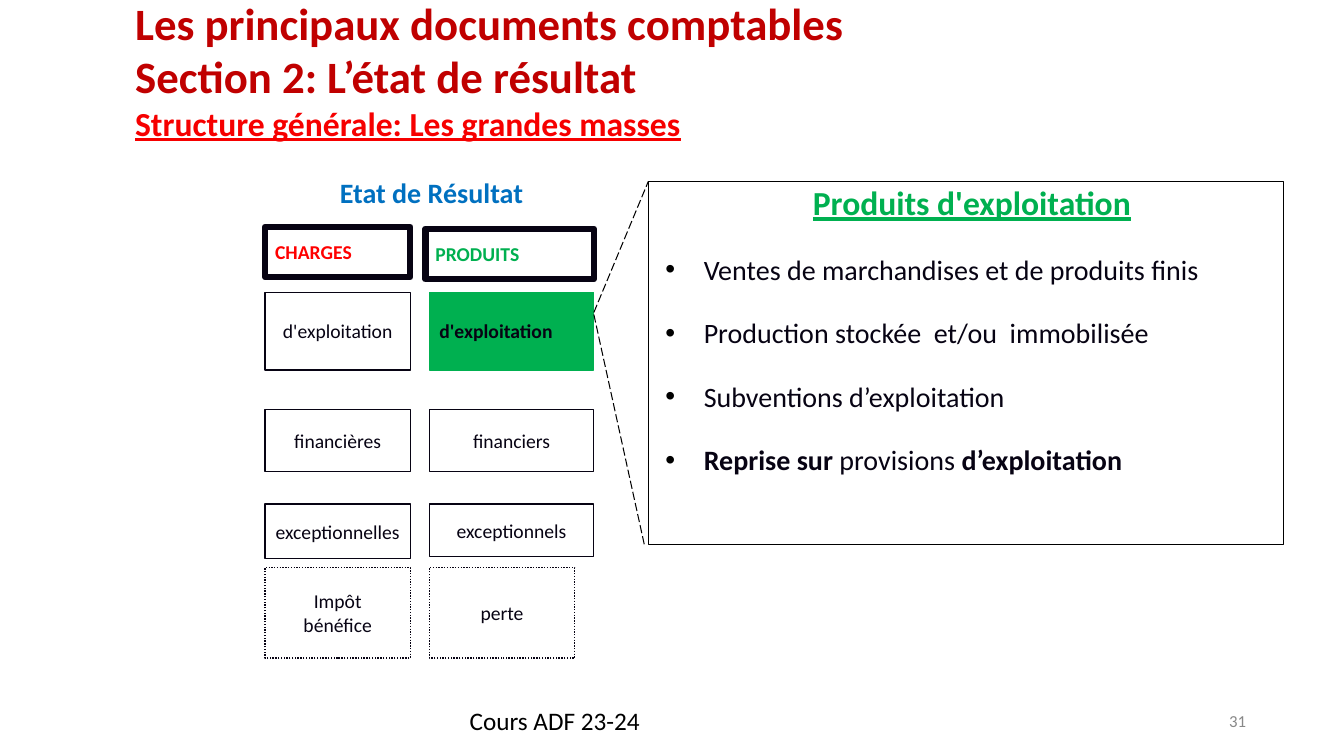
from lxml.etree import SubElement
from pptx import Presentation
from pptx.dml.color import RGBColor
from pptx.enum.dml import MSO_LINE
from pptx.enum.shapes import MSO_CONNECTOR, MSO_SHAPE
from pptx.enum.text import MSO_ANCHOR, MSO_AUTO_SIZE, PP_ALIGN
from pptx.oxml.ns import qn
from pptx.util import Emu, Pt

EMU_PER_PX = 9144  # 100 px to the inch
INK, BLACK, GREEN, RED = "070313", "000000", "00B050", "FF0000"
DARK_RED, TITLE_RED, BLUE, GREY = "C00000", "F60000", "0070C0", "888888"


def px(length):
    return Emu(length * EMU_PER_PX)


def colour(hex_string):
    return RGBColor.from_string(hex_string)


class SlideBuilder:
    font_name = "Calibri"

    def __init__(self, slide):
        self.slide = slide

    def place(self, shape, left, top, width, height):
        shape.left, shape.top = px(left), px(top)
        shape.width, shape.height = px(width), px(height)

    def frame(self, shape, anchor, wrap=True, insets=(10, 5, 10, 5)):
        """Set up the text frame; insets run left, top, right, bottom."""
        frame = shape.text_frame
        frame.auto_size = MSO_AUTO_SIZE.NONE
        frame.word_wrap = wrap
        frame.vertical_anchor = anchor
        (frame.margin_left, frame.margin_top,
         frame.margin_right, frame.margin_bottom) = map(px, insets)
        return frame

    def paragraph(self, frame, first, align=PP_ALIGN.LEFT, spacing=None):
        paragraph = frame.paragraphs[0] if first else frame.add_paragraph()
        paragraph.alignment = align
        if spacing:
            paragraph.line_spacing = spacing
        return paragraph

    def run(self, paragraph, text, size, hex_string, bold=False, underline=False):
        run = paragraph.add_run()
        run.text = text
        font = run.font
        font.name, font.size = self.font_name, Pt(size)
        font.bold, font.underline = bold, underline
        font.color.rgb = colour(hex_string)

    def outline(self, line, hex_string, width, dash=None):
        line.color.rgb = colour(hex_string)
        line.width = Pt(width)
        if dash:
            line.dash_style = dash

    def indent(self, paragraph, bullet=None):
        """Give a hanging indent, with a bullet or explicitly none."""
        properties = paragraph._p.get_or_add_pPr()
        properties.set("marL", str(px(50)))
        properties.set("indent", str(px(-38)))
        if not bullet:
            SubElement(properties, qn("a:buNone"))
            return
        bullet_colour = SubElement(properties, qn("a:buClr"))
        SubElement(bullet_colour, qn("a:srgbClr"), val=BLACK)
        SubElement(properties, qn("a:buFont"), typeface="Arial")
        SubElement(properties, qn("a:buChar"), char=bullet)

    def title(self, lines, bounds):
        shape = self.slide.shapes.title
        self.place(shape, *bounds)
        frame = self.frame(shape, MSO_ANCHOR.BOTTOM, insets=(10, 5, 10, 22))
        for index, line in enumerate(lines):
            self.run(self.paragraph(frame, index == 0), *line)

    def detail_list(self, heading, items, bounds):
        """Fill the body placeholder; each item is a list of (text, bold)."""
        shape = self.slide.placeholders[1]
        self.place(shape, *bounds)
        self.outline(shape.line, BLACK, 0.75)
        frame = self.frame(shape, MSO_ANCHOR.TOP, insets=(5, 5, 5, 5))
        paragraph = self.paragraph(frame, True, PP_ALIGN.CENTER, 0.9)
        self.indent(paragraph)
        paragraph.space_before = Pt(0)
        self.run(paragraph, heading, 24, GREEN, True, True)
        for item in items:
            paragraph = self.paragraph(frame, False, PP_ALIGN.JUSTIFY, 1.5)
            self.indent(paragraph, "•")
            paragraph.space_before = Pt(9.3)
            for text, bold in item:
                self.run(paragraph, text, 20, INK, bold)

    def box(self, lines, bounds, align=PP_ALIGN.CENTER, text_colour=INK, bold=False,
            fill=None, line_colour=INK, line_width=1, dash=None):
        shape = self.slide.shapes.add_shape(MSO_SHAPE.RECTANGLE, *map(px, bounds))
        shape.shadow.inherit = False
        if fill:
            shape.fill.solid()
            shape.fill.fore_color.rgb = colour(fill)
        else:
            shape.fill.background()
        self.outline(shape.line, line_colour, line_width, dash)
        frame = self.frame(shape, MSO_ANCHOR.MIDDLE, wrap=False)
        for index, line in enumerate(lines):
            self.run(self.paragraph(frame, index == 0, align), line, 14, text_colour, bold)

    def label(self, text, bounds, size, hex_string, align=PP_ALIGN.LEFT,
              anchor=MSO_ANCHOR.TOP, bold=False, spacing=None, insets=(10, 5, 10, 5)):
        shape = self.slide.shapes.add_textbox(*map(px, bounds))
        frame = self.frame(shape, anchor, insets=insets)
        self.run(self.paragraph(frame, True, align, spacing), text, size, hex_string, bold)

    def dashed_line(self, start, end):
        connector = self.slide.shapes.add_connector(
            MSO_CONNECTOR.STRAIGHT, *map(px, start + end))
        self.outline(connector.line, BLACK, 0.75, MSO_LINE.LONG_DASH)
        SubElement(connector._element.spPr, qn("a:effectLst"))


def main():
    presentation = Presentation()
    presentation.slide_width, presentation.slide_height = px(1333), px(750)
    slide = presentation.slides.add_slide(presentation.slide_layouts[1])
    builder = SlideBuilder(slide)

    builder.title([
        ("Les principaux documents comptables", 32, DARK_RED, True),
        ("Section 2: L’état de résultat", 32, DARK_RED, True),
        ("Structure générale: Les grandes masses", 24, TITLE_RED, True, True),
    ], (124, 9, 1079, 155))
    builder.detail_list("Produits d'exploitation", [
        [("Ventes de marchandises et de produits finis", False)],
        [("Production stockée  et/ou  immobilisée", False)],
        [("Subventions d’exploitation", False)],
        [("Reprise sur", True), (" provisions", False), (" d’exploitation", True)],
    ], (643, 180, 630, 360))

    charges_left, charges_width = 263, 144
    products_left, products_width = 426, 163
    header = dict(align=PP_ALIGN.LEFT, bold=True, line_width=4.5)
    builder.box(["CHARGES"], (charges_left, 225, charges_width, 50),
                text_colour=RED, **header)
    builder.box(["PRODUITS"], (422, 227, 167, 50), text_colour=GREEN, **header)

    plain = {}
    highlight = dict(align=PP_ALIGN.LEFT, bold=True, fill=GREEN, line_colour=GREEN)
    dotted = dict(dash=MSO_LINE.ROUND_DOT)
    rows = [
        (290, ["d'exploitation"], 77, plain,
         ["d'exploitation"], products_width, 77, highlight),
        (406, ["financières"], 62, plain, ["financiers"], products_width, 62, plain),
        (500, ["exceptionnelles"], 54, plain,
         ["exceptionnels"], products_width, 52, plain),
        (563, ["Impôt", "bénéfice"], 90, dotted, ["perte"], charges_width, 90, dotted),
    ]
    for (top, charge, charge_height, charge_style,
         product, product_width, product_height, product_style) in rows:
        builder.box(charge, (charges_left, top, charges_width, charge_height),
                    **charge_style)
        builder.box(product, (products_left, top, product_width, product_height),
                    **product_style)

    builder.dashed_line((589, 310), (643, 180))
    builder.dashed_line((589, 312), (639, 540))

    builder.label("Etat de Résultat", (228, 176, 400, 36), 20, BLUE, PP_ALIGN.CENTER,
                  MSO_ANCHOR.BOTTOM, bold=True, spacing=0.75)
    builder.label("Cours ADF 23-24", (456, 695, 422, 40), 18, BLACK)
    builder.label("31", (1203, 700, 38, 30), 12, GREY, PP_ALIGN.RIGHT,
                  MSO_ANCHOR.MIDDLE, insets=(5, 5, 5, 5))

    presentation.save("out.pptx")


if __name__ == "__main__":
    main()
